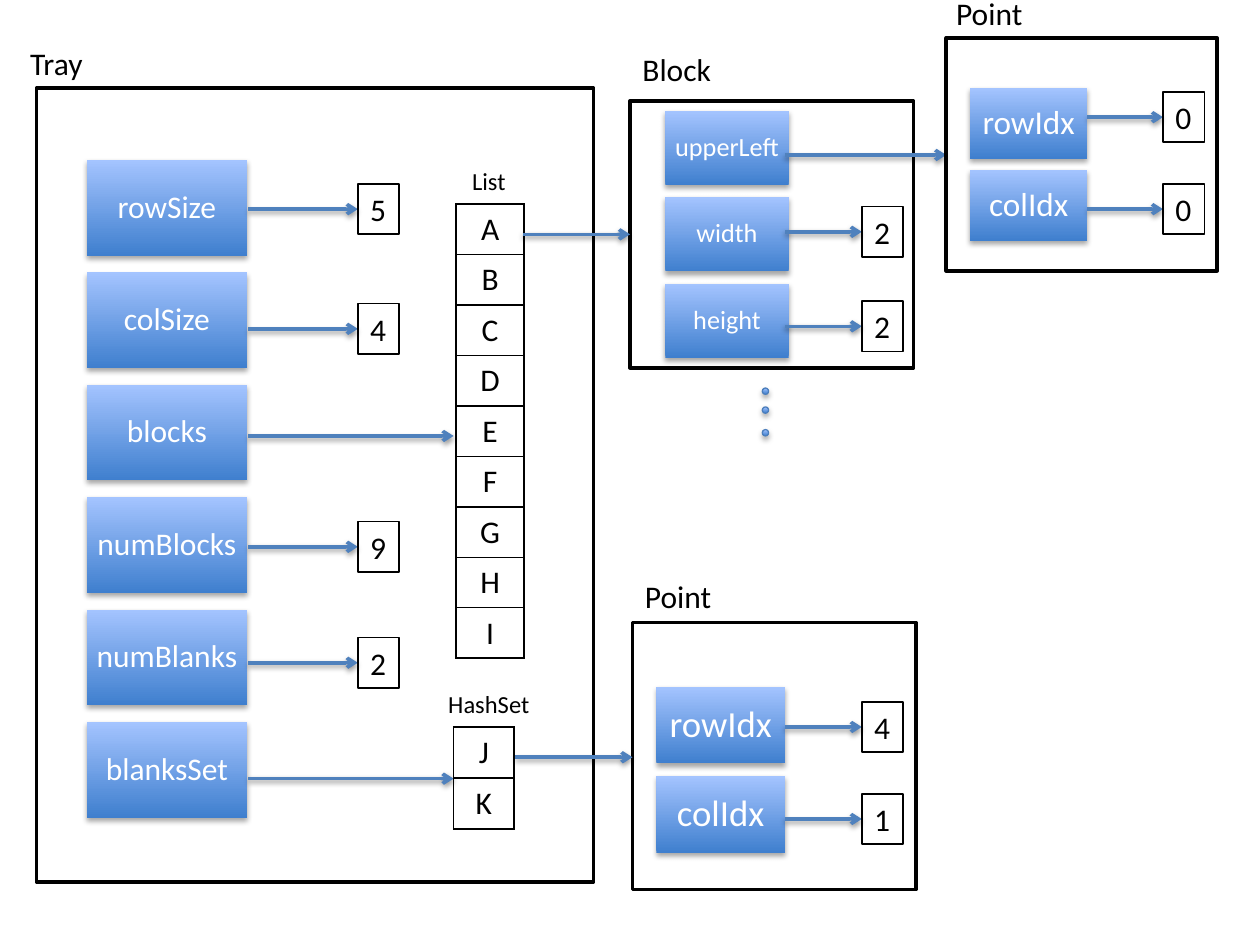
from dataclasses import dataclass

from lxml.etree import SubElement
from pptx import Presentation
from pptx.dml.color import RGBColor
from pptx.enum.shapes import MSO_CONNECTOR, MSO_SHAPE
from pptx.enum.text import MSO_ANCHOR, PP_ALIGN
from pptx.oxml.ns import qn
from pptx.util import Inches, Pt

BLACK = RGBColor(0x00, 0x00, 0x00)
WHITE = RGBColor(0xFF, 0xFF, 0xFF)
BLUE = RGBColor(0x4F, 0x81, 0xBD)
EDGE = RGBColor(0x4B, 0x7E, 0xBC)
DARK = RGBColor(0x3F, 0x7F, 0xCE)
LIGHT = RGBColor(0xA4, 0xC4, 0xFF)
FONT = "Calibri"
BOX_W, BOX_H = 0.33, 0.4


@dataclass
class Field:
    name: str
    y: float
    value: str = ""
    end: float = 0


@dataclass
class Panel:
    title: str
    head: tuple[float, float, float]
    frame: tuple[float, float, float, float]
    left: float
    top: float
    width: float
    height: float
    step: float
    size: int
    start: float
    box: float
    fields: list[Field]


@dataclass
class Stack:
    title: str
    head: float
    left: float
    top: float
    width: float
    row: float
    items: str


PANELS = [
    Panel("Tray", (0.14, 0.3, 0.65), (0.29, 0.7, 4.42, 6.3),
          0.69, 1.27, 1.27, 0.76, 0.892, 18, 1.97, 2.84,
          [Field("rowSize", 1.66, "5"), Field("colSize", 2.61, "4"),
           Field("blocks", 3.46, end=3.6), Field("numBlocks", 4.34, "9"),
           Field("numBlanks", 5.26, "2"), Field("blanksSet", 6.18, end=3.6)]),
    Panel("Block", (5, 0.35, 0.75), (5, 0.8, 2.25, 2.12),
          5.28, 0.88, 0.98, 0.59, 0.685, 15, 6.23, 6.84,
          [Field("upperLeft", 1.23, end=7.51), Field("width", 1.84, "2"),
           Field("height", 2.59, "2")]),
    Panel("Point", (5.02, 4.53, 0.74), (5.02, 4.94, 2.25, 2.12),
          5.21, 5.45, 1.02, 0.61, 0.71, 21, 6.23, 6.84,
          [Field("rowIdx", 5.77, "4"), Field("colIdx", 6.5, "1")]),
    Panel("Point", (7.49, -0.1, 0.74), (7.51, 0.3, 2.15, 1.85),
          7.7, 0.7, 0.93, 0.56, 0.65, 19, 8.63, 9.23,
          [Field("rowIdx", 0.93, "0"), Field("colIdx", 1.66, "0")]),
]
STACKS = [
    Stack("List", 1.27, 3.62, 1.62, 0.54, 0.4, "ABCDEFGHI"),
    Stack("HashSet", 5.42, 3.6, 5.77, 0.48, 0.405, "JK"),
]
LINKS = [(4.15, 5, 1.86), (4.09, 5.02, 6.01)]
DOTS = [3.08, 3.23, 3.41]

deck = Presentation()
deck.slide_width, deck.slide_height = Inches(10), Inches(7.5)
slide = deck.slides.add_slide(deck.slide_layouts[6])
shapes = slide.shapes


def place(*sides: float) -> list[int]:
    return [Inches(side) for side in sides]


def shade(shape, dist: float, alpha: int) -> None:
    effect = SubElement(shape.element.spPr, qn("a:effectLst"))
    outer = SubElement(effect, qn("a:outerShdw"), blurRad=str(Pt(3.1)),
                       dist=str(Pt(dist)), dir="5400000", rotWithShape="0")
    tint = SubElement(outer, qn("a:srgbClr"), val=str(BLACK))
    SubElement(tint, qn("a:alpha"), val=str(alpha * 1000))


def style(frame, text: str, size: int, color: RGBColor, align=PP_ALIGN.LEFT) -> None:
    frame.text = text
    para = frame.paragraphs[0]
    para.alignment = align
    font = para.runs[0].font
    font.name, font.size, font.color.rgb = FONT, Pt(size), color


def blend(shape) -> None:
    shape.fill.gradient()
    shape.fill.gradient_angle = 90
    for stop, color, pos in zip(shape.fill.gradient_stops, (DARK, LIGHT), (0, 1)):
        stop.color.rgb, stop.position = color, pos


def label(text: str, x: float, y: float, w: float, h: float = BOX_H,
          size: int = 18, align=PP_ALIGN.LEFT, wrap: bool = False):
    box = shapes.add_textbox(*place(x, y, w, h))
    box.text_frame.word_wrap = wrap
    style(box.text_frame, text, size, BLACK, align)
    return box


def arrow(x: float, end: float, y: float) -> None:
    line = shapes.add_connector(MSO_CONNECTOR.STRAIGHT, *place(x, y, end, y))
    line.line.color.rgb, line.line.width = BLUE, Pt(2)
    SubElement(line.line._get_or_add_ln(), qn("a:tailEnd"), type="arrow")
    shade(line, 1.6, 38)


def tile(panel: Panel, row: int, name: str) -> None:
    shape = shapes.add_shape(MSO_SHAPE.RECTANGLE, *place(
        panel.left, panel.top + row * panel.step, panel.width, panel.height))
    blend(shape)
    shape.line.fill.background()
    shade(shape, 1.8, 35)
    frame = shape.text_frame
    frame.word_wrap = True
    frame.vertical_anchor = MSO_ANCHOR.MIDDLE
    inset = Inches(panel.size * 0.004)
    frame.margin_left = frame.margin_right = inset
    frame.margin_top = frame.margin_bottom = inset
    style(frame, name, panel.size, WHITE, PP_ALIGN.CENTER)
    frame.paragraphs[0].line_spacing = 0.9


def draw(panel: Panel) -> None:
    frame = shapes.add_shape(MSO_SHAPE.RECTANGLE, *place(*panel.frame))
    frame.fill.background()
    frame.line.color.rgb, frame.line.width = BLACK, Pt(2)
    frame.shadow.inherit = False
    label(panel.title, *panel.head)
    for row, field in enumerate(panel.fields):
        tile(panel, row, field.name)
        arrow(panel.start, field.end or panel.box, field.y)
        if field.value:
            box = label(field.value, panel.box, field.y - BOX_H / 2, BOX_W)
            box.line.color.rgb, box.line.width = BLACK, Pt(1)


def border(cell) -> None:
    props = cell._tc.get_or_add_tcPr()
    for side in ("lnL", "lnR", "lnT", "lnB"):
        line = SubElement(props, qn(f"a:{side}"), w=str(Pt(1)))
        fill = SubElement(line, qn("a:solidFill"))
        SubElement(fill, qn("a:srgbClr"), val=str(BLACK))


def pile(stack: Stack) -> None:
    count = len(stack.items)
    table = shapes.add_table(count, 1, *place(
        stack.left, stack.top, stack.width, count * stack.row)).table
    table.first_row = table.horz_banding = False
    for cell, item in zip(table.iter_cells(), stack.items):
        border(cell)
        cell.fill.background()
        style(cell.text_frame, item, 18, BLACK, PP_ALIGN.CENTER)
    label(stack.title, 3.4, stack.head, 0.96, 0.34, 14, PP_ALIGN.CENTER, True)


def dot(y: float) -> None:
    shape = shapes.add_shape(MSO_SHAPE.OVAL, *place(6.05, y, 0.05, 0.05))
    blend(shape)
    shape.line.color.rgb, shape.line.width = EDGE, Pt(0.75)
    shade(shape, 1.8, 35)


for panel in PANELS:
    draw(panel)
for stack in STACKS:
    pile(stack)
for link in LINKS:
    arrow(*link)
for y in DOTS:
    dot(y)

deck.save("out.pptx")
